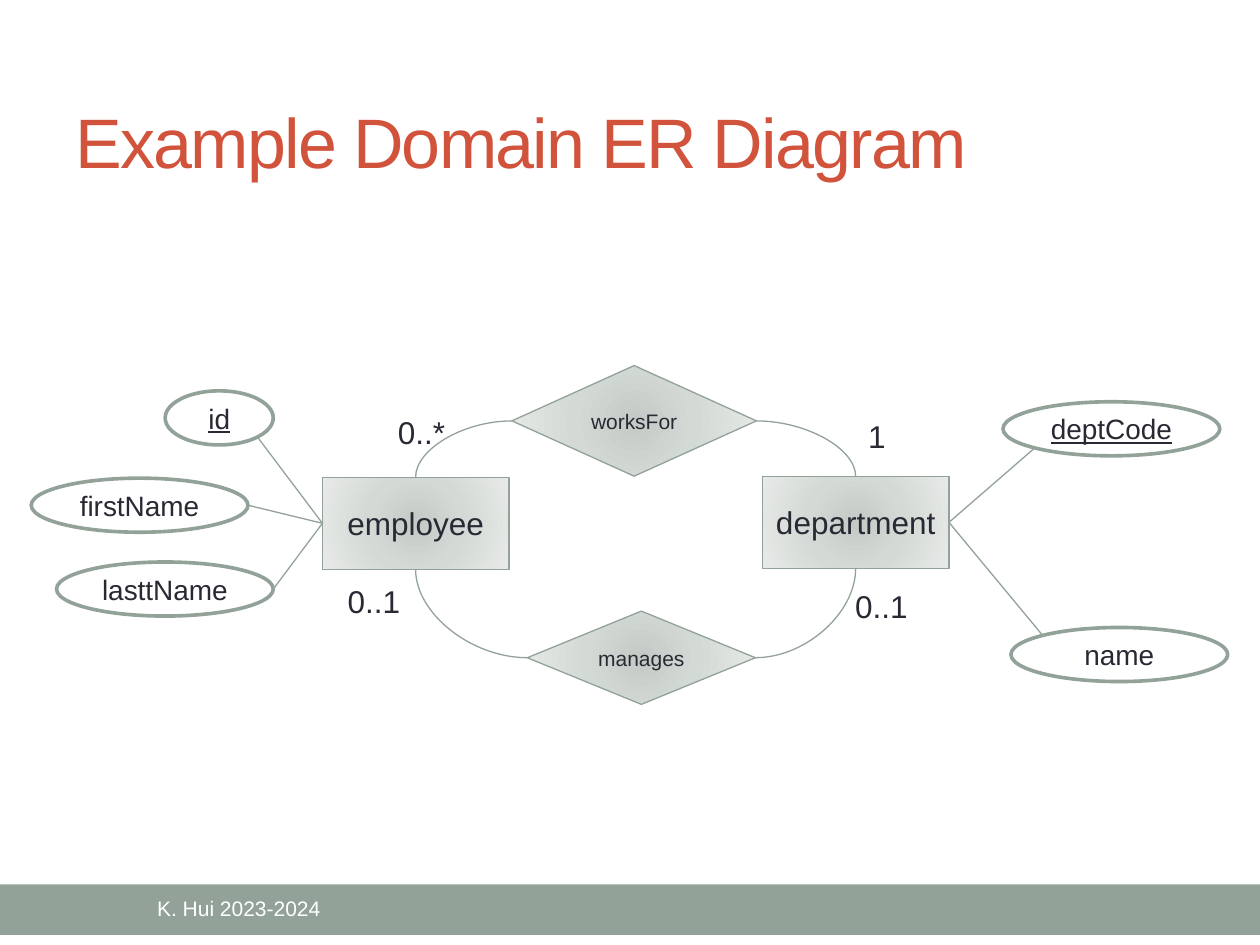
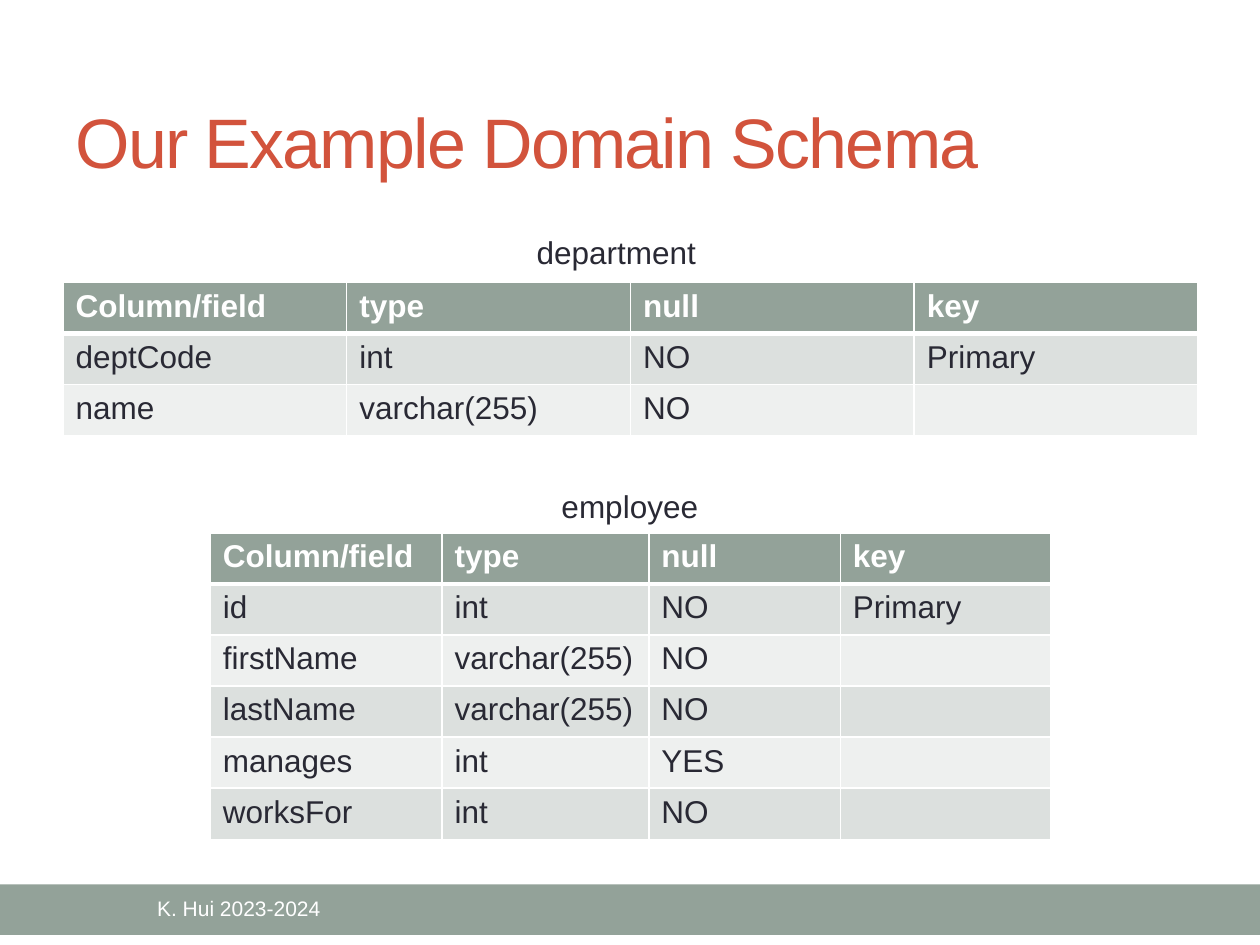
from math import cos, radians, sin

from lxml.etree import SubElement
from pptx import Presentation
from pptx.dml.color import RGBColor
from pptx.enum.shapes import MSO_CONNECTOR, MSO_SHAPE
from pptx.enum.text import MSO_ANCHOR, MSO_AUTO_SIZE, PP_ALIGN
from pptx.oxml import parse_xml
from pptx.oxml.ns import nsdecls, qn
from pptx.util import Cm, Pt

FONT = "Arial"
SAGE = "93A299"
RUST = "D2533C"
INK = "292934"
WHITE = "FFFFFF"
BANDS = ("EEF0EF", "DCE0DE")
STOPS = ((0, "C4CAC6"), (45, "D3DAD6"), (100, "E7EAE8"))
TOP, LEFT, BASE, RIGHT = range(4)
HEAD = ("Column/field", "type", "null", "key")


def tint(code):
    return RGBColor.from_string(code)


def style(frame, size, color=INK, align=None, bold=None, under=None):
    for para in frame.paragraphs:
        para.alignment = align
        for run in para.runs:
            font = run.font
            font.name, font.size = FONT, Pt(size)
            font.bold, font.underline = bold, under
            font.color.rgb = tint(color)


def add_box(slide, kind, box, fill=None, line=None):
    shape = slide.shapes.add_shape(kind, *map(Cm, box))
    shape.shadow.inherit = False
    if fill:
        shape.fill.solid()
        shape.fill.fore_color.rgb = tint(fill)
    if line:
        shape.line.color.rgb = tint(SAGE)
        shape.line.width = Pt(line)
    else:
        shape.line.fill.background()
    return shape


def write(shape, text, size, under=None):
    frame = shape.text_frame
    frame.text = text
    frame.vertical_anchor = MSO_ANCHOR.MIDDLE
    style(frame, size, align=PP_ALIGN.CENTER, under=under)


def add_node(slide, kind, text, size, box):
    shape = add_box(slide, kind, box, line=0.75)
    stops = "".join(
        f'<a:gs pos="{spot * 1000}"><a:srgbClr val="{code}"/></a:gs>'
        for spot, code in STOPS
    )
    grad = parse_xml(
        f'<a:gradFill {nsdecls("a")}><a:gsLst>{stops}</a:gsLst>'
        '<a:path path="circle"><a:fillToRect l="100000" t="100000" '
        'r="100000" b="100000"/></a:path></a:gradFill>'
    )
    shape.element.spPr.find(qn("a:prstGeom")).addnext(grad)
    write(shape, text, size)
    return shape


def add_field(slide, node, side, text, left, top, angle, width=4.37, key=None):
    oval = add_box(slide, MSO_SHAPE.OVAL, (left, top, width, 1.09), WHITE, 2.08)
    write(oval, text, 16, key)
    turn = radians(angle)
    end_x = oval.left + oval.width / 2 * (1 + cos(turn))
    end_y = oval.top + oval.height / 2 * (1 + sin(turn))
    line = slide.shapes.add_connector(
        MSO_CONNECTOR.STRAIGHT, 0, 0, int(end_x), int(end_y)
    )
    line.begin_connect(node, side)
    trim(line)


def add_curve(slide, link, side, node, edge):
    line = slide.shapes.add_connector(MSO_CONNECTOR.CURVE, 0, 0, 0, 0)
    line.begin_connect(link, side)
    line.end_connect(node, edge)
    line.element.spPr.find(qn("a:prstGeom")).set("prst", "curvedConnector2")
    trim(line)


def trim(line):
    line.line.color.rgb = tint(SAGE)
    line.line.width = Pt(0.75)
    SubElement(line.element.spPr, qn("a:effectLst"))


def add_label(slide, text, left, top, width):
    label = slide.shapes.add_textbox(Cm(left), Cm(top), Cm(width), Cm(1.02))
    frame = label.text_frame
    frame.word_wrap = False
    frame.auto_size = MSO_AUTO_SIZE.SHAPE_TO_FIT_TEXT
    frame.text = text
    style(frame, 18)


def add_rule(cell, edge, width):
    props = cell._tc.get_or_add_tcPr()
    rule = SubElement(props, qn(f"a:ln{edge}"), w=str(Pt(width)))
    fill = SubElement(rule, qn("a:solidFill"))
    SubElement(fill, qn("a:srgbClr"), val=WHITE)


def add_grid(slide, left, top, wide, rows):
    rows = [HEAD, *rows]
    high = 1.03
    frame = slide.shapes.add_table(
        len(rows), len(wide), Cm(left), Cm(top), Cm(sum(wide)), Cm(high * len(rows))
    )
    table = frame.table
    for col, size in zip(table.columns, wide):
        col.width = Cm(size)
    for i, row in enumerate(rows):
        table.rows[i].height = Cm(high)
        for j, text in enumerate(row):
            cell = table.cell(i, j)
            for edge in "LRTB":
                thick = (edge, i) in (("B", 0), ("T", 1))
                add_rule(cell, edge, 3 if thick else 1)
            cell.fill.solid()
            cell.fill.fore_color.rgb = tint(BANDS[i % 2] if i else SAGE)
            cell.text_frame.text = text
            style(cell.text_frame, 18, INK if i else WHITE, bold=i == 0)


def add_slide(deck, text):
    slide = deck.slides.add_slide(deck.slide_layouts[5])
    add_box(slide, MSO_SHAPE.RECTANGLE, (0, 17.83, 25.4, 1.02), SAGE)
    title = slide.shapes.title
    title.left, title.top, title.width, title.height = map(
        Cm, (1.27, 1.47, 22.86, 2.74)
    )
    frame = title.text_frame
    frame.text = text
    frame.vertical_anchor = MSO_ANCHOR.MIDDLE
    style(frame, 40, RUST, PP_ALIGN.LEFT)
    frame.paragraphs[0].runs[0].font._element.set("spc", "-100")
    foot = slide.shapes.add_textbox(Cm(1.27), Cm(17.86), Cm(7.09), Cm(0.91))
    foot.text_frame.word_wrap = True
    foot.text_frame.vertical_anchor = MSO_ANCHOR.MIDDLE
    foot.text_frame.text = "K. Hui 2023-2024"
    style(foot.text_frame, 12, WHITE, PP_ALIGN.CENTER)
    return slide


def draw_model(deck):
    slide = add_slide(deck, "Example Domain ER Diagram")
    rect, gem = MSO_SHAPE.RECTANGLE, MSO_SHAPE.DIAMOND
    staff = add_node(slide, rect, "employee", 18, (6.5, 9.62, 3.76, 1.86))
    dept = add_node(slide, rect, "department", 18, (15.37, 9.6, 3.76, 1.86))
    works = add_node(slide, gem, "worksFor", 12, (10.32, 7.37, 4.93, 2.23))
    heads = add_node(slide, gem, "manages", 12, (10.63, 12.32, 4.6, 1.88))
    for link, edge in ((works, TOP), (heads, BASE)):
        add_curve(slide, link, LEFT, staff, edge)
        add_curve(slide, link, RIGHT, dept, edge)
    add_field(slide, staff, LEFT, "id", 3.33, 7.88, 45, 2.18, True)
    add_field(slide, staff, LEFT, "firstName", 0.63, 9.64, 0)
    add_field(slide, staff, LEFT, "lasttName", 1.14, 11.33, 0)
    add_field(slide, dept, RIGHT, "deptCode", 20.22, 8.1, 135, key=True)
    add_field(slide, dept, RIGHT, "name", 20.38, 12.65, 225)
    add_label(slide, "1", 17.25, 8.28, 0.86)
    add_label(slide, "0..*", 7.77, 8.2, 1.47)
    add_label(slide, "0..1", 6.76, 11.61, 1.57)
    add_label(slide, "0..1", 16.99, 11.71, 1.57)


def draw_schema(deck):
    slide = add_slide(deck, "Our Example Domain Schema")
    add_label(slide, "department", 10.57, 4.57, 3.76)
    add_grid(slide, 1.27, 5.69, [5.72] * 4, [
        ("deptCode", "int", "NO", "Primary"),
        ("name", "varchar(255)", "NO", ""),
    ])
    add_label(slide, "employee", 11.07, 9.7, 3.3)
    add_grid(slide, 4.24, 10.74, [4.67, 4.17, 3.86, 4.24], [
        ("id", "int", "NO", "Primary"),
        ("firstName", "varchar(255)", "NO", ""),
        ("lastName", "varchar(255)", "NO", ""),
        ("manages", "int", "YES", ""),
        ("worksFor", "int", "NO", ""),
    ])


def main():
    deck = Presentation()
    deck.slide_width, deck.slide_height = Cm(25.4), Cm(19.05)
    draw_model(deck)
    draw_schema(deck)
    deck.save("out.pptx")


main()
